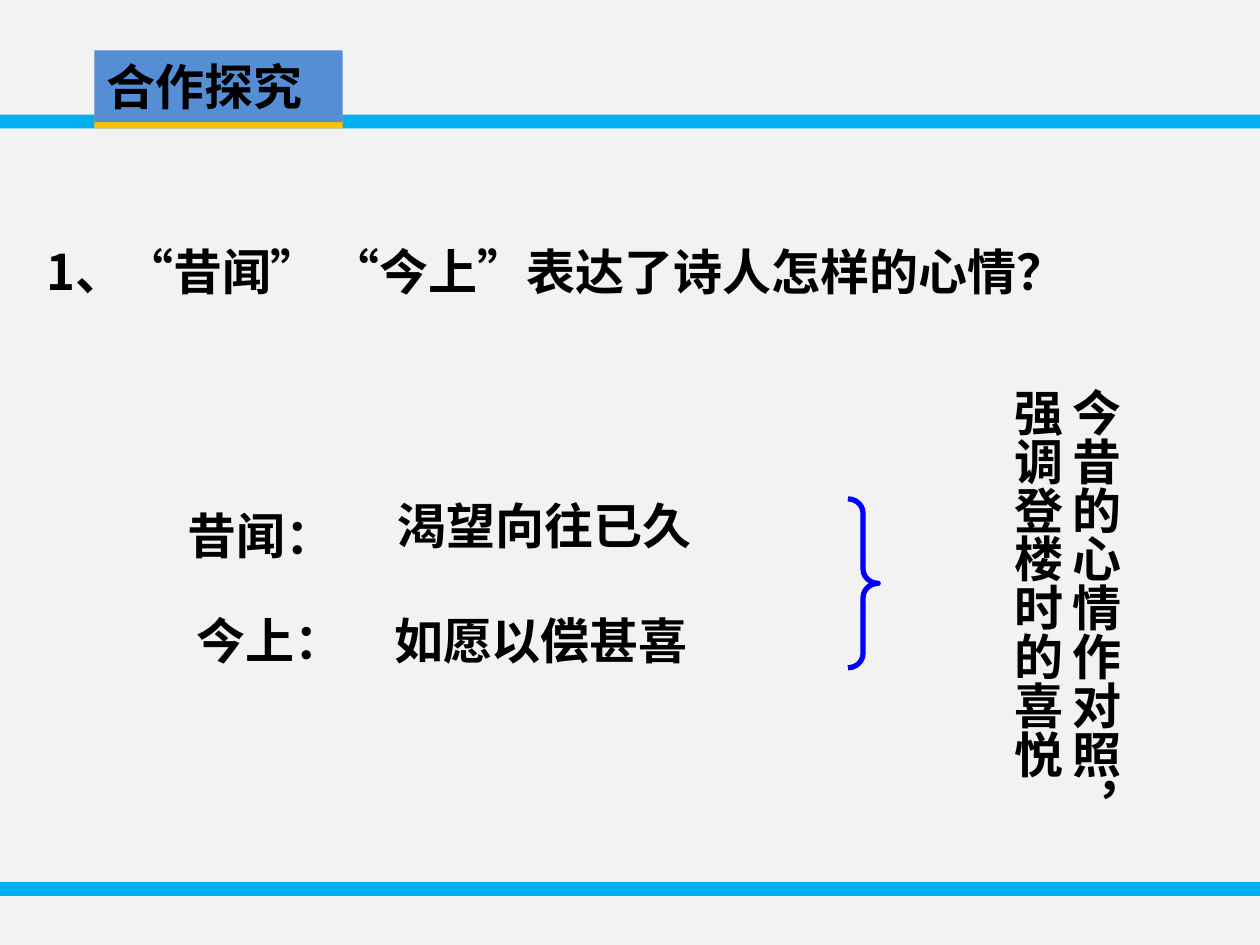
from pptx import Presentation
from pptx.dml.color import RGBColor
from pptx.enum import shapes, text
from pptx.oxml.ns import qn
from pptx.util import Inches, Pt

FONT = "Noto Sans CJK SC"

# Content: (left, top, width, height, fill) and (text, left, top, width)
BARS = [
    (0, 7, 10, 0.11, "00B0F0"),
    (0, 0.91, 10, 0.11, "00B0F0"),
    (0.75, 0.91, 1.97, 0.11, "FFC000"),
]
LINES = [
    ("1、“昔闻” “今上”表达了诗人怎样的心情？", 0.27, 1.87, 9.06),
    ("昔闻：", 1.39, 3.96, 2.75),
    ("今上：", 1.46, 4.8, 2.44),
    ("渴望向往已久", 3.06, 3.88, 5.91),
    ("如愿以偿甚喜", 3.03, 4.8, 5.91),
]
LINE_HEIGHT = 0.57
SUMMARY = "今昔的心情作对照，强调登楼时的喜悦"
HEADING = "合作探究"


def color(value):
    return RGBColor.from_string(value)


def add_shape(s, kind, box, fill=None, line=None, width=1):
    sp = s.shapes.add_shape(kind, *map(Inches, box))
    sp.shadow.inherit = False
    if fill:
        sp.fill.solid()
        sp.fill.fore_color.rgb = color(fill)
    else:
        sp.fill.background()
    if line:
        sp.line.color.rgb = color(line)
        sp.line.width = Pt(width)
    else:
        sp.line.fill.background()
    return sp


def add_text(s, words, box, fill=None, size=28, ink="000000", bold=True, vertical=False):
    if fill:
        sp = add_shape(s, shapes.MSO_SHAPE.RECTANGLE, box, fill)
    else:
        sp = s.shapes.add_textbox(*map(Inches, box))
    tf = sp.text_frame
    tf.word_wrap = True
    tf.auto_size = text.MSO_AUTO_SIZE.SHAPE_TO_FIT_TEXT
    tf.vertical_anchor = text.MSO_ANCHOR.TOP
    side, end = (0.05, 0.1) if vertical else (0.1, 0.05)
    tf.margin_left = tf.margin_right = Inches(side)
    tf.margin_top = tf.margin_bottom = Inches(end)
    if vertical:
        sp.element.txBody.find(qn("a:bodyPr")).set("vert", "eaVert")
    p = tf.paragraphs[0]
    p.alignment = text.PP_ALIGN.LEFT
    r = p.add_run()
    r.text = words
    r.font.size = Pt(size)
    r.font.bold = bold
    r.font.color.rgb = color(ink)
    r.font.name = FONT
    # East Asian typeface follows the Latin one
    ea = r.font._element.makeelement(qn("a:ea"), {"typeface": FONT})
    r.font._element.find(qn("a:latin")).addnext(ea)
    return sp


prs = Presentation()
prs.slide_width, prs.slide_height = Inches(10), Inches(7.5)
s = prs.slides.add_slide(prs.slide_layouts[6])
s.background.fill.solid()
s.background.fill.fore_color.rgb = color("F2F2F2")

# Horizontal bars
for *box, fill in BARS:
    add_shape(s, shapes.MSO_SHAPE.RECTANGLE, box, fill)

# Question and answers
for words, left, top, width in LINES:
    add_text(s, words, (left, top, width, LINE_HEIGHT))

# Vertical summary with its brace
add_text(s, SUMMARY, (7.85, 2.98, 1.13, 3.62), vertical=True)
brace = add_shape(s, shapes.MSO_SHAPE.RIGHT_BRACE, (6.73, 3.96, 0.24, 1.34),
                  line="0000FF", width=3)
brace.adjustments[0] = 0.47

# Heading tab
add_text(s, HEADING, (0.75, 0.4, 1.97, LINE_HEIGHT), fill="558ED5")

prs.save("out.pptx")
